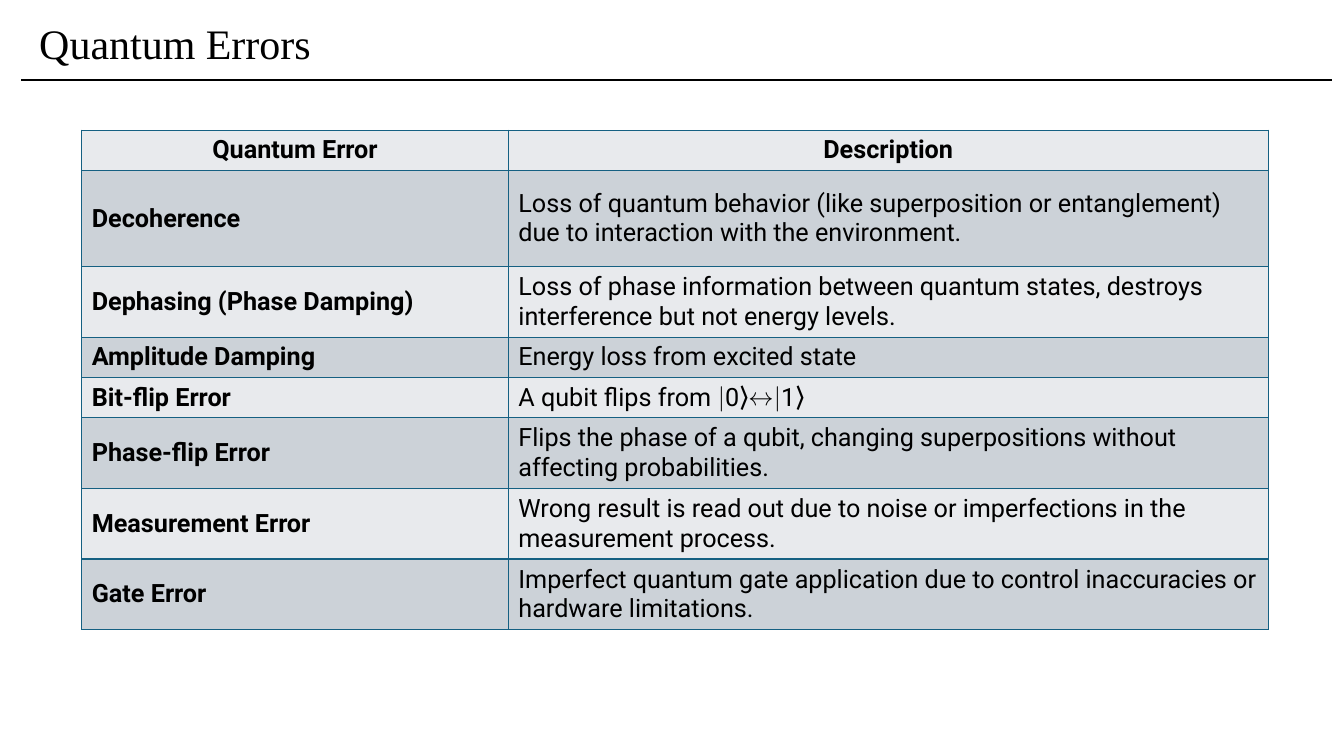
from lxml import etree
from pptx import Presentation
from pptx.dml.color import RGBColor
from pptx.enum import shapes, text
from pptx.oxml import ns
from pptx.util import Cm, Pt

TITLE = "Quantum Errors"
HEADINGS = ("Quantum Error", "Description")
ERRORS = [
    ("Decoherence", "Loss of quantum behavior (like superposition or entanglement) "
                    "due to interaction with the environment."),
    ("Dephasing (Phase Damping)", "Loss of phase information between quantum states, "
                                  "destroys interference but not energy levels."),
    ("Amplitude Damping", "Energy loss from excited state"),
    ("Bit-flip Error", "A qubit flips from ∣0⟩↔∣1⟩"),
    ("Phase-flip Error", "Flips the phase of a qubit, changing superpositions "
                         "without affecting probabilities."),
    ("Measurement Error", "Wrong result is read out due to noise or imperfections "
                          "in the measurement process."),
    ("Gate Error", "Imperfect quantum gate application due to control inaccuracies "
                   "or hardware limitations."),
]
COLORS = {"text": "000000", "border": "156082", "light": "E8EAED", "dark": "CCD2D8"}
SINGLE, DOUBLE, TALL = 0.98, 1.74, 2.42
ROW_HEIGHTS = (SINGLE, TALL, DOUBLE, SINGLE, SINGLE, DOUBLE, DOUBLE, DOUBLE)
COLUMN_WIDTHS = (10.75, 19.15)


def color(name):
    return RGBColor.from_string(COLORS[name])


def style_paragraph(paragraph, font_name, size, bold=False):
    paragraph.font.name = font_name
    paragraph.font.size = Pt(size)
    paragraph.font.bold = bold
    paragraph.font.color.rgb = color("text")


def add_title(slide):
    box = slide.shapes.add_textbox(Cm(0.74), Cm(0.56), Cm(33.1), Cm(1.17))
    frame = box.text_frame
    frame.word_wrap = True
    frame.vertical_anchor = text.MSO_ANCHOR.MIDDLE
    paragraph = frame.paragraphs[0]
    paragraph.text = TITLE
    paragraph.line_spacing = 0.9
    style_paragraph(paragraph, "Times New Roman", 30)


def add_title_rule(slide):
    rule = slide.shapes.add_connector(
        shapes.MSO_CONNECTOR.STRAIGHT, Cm(0.53), Cm(2.01), Cm(33.58), Cm(2.01))
    rule.line.color.rgb = color("text")
    rule.line.width = Pt(1.5)
    etree.SubElement(rule._element.spPr, ns.qn("a:effectLst"))


def add_borders(cell):
    properties = cell._tc.get_or_add_tcPr()
    for side in ("a:lnL", "a:lnR", "a:lnT", "a:lnB"):
        line = etree.SubElement(properties, ns.qn(side), w=str(Pt(1)))
        fill = etree.SubElement(line, ns.qn("a:solidFill"))
        etree.SubElement(fill, ns.qn("a:srgbClr"), val=COLORS["border"])


def add_error_table(slide):
    rows = [HEADINGS, *ERRORS]
    table = slide.shapes.add_table(
        len(rows), len(HEADINGS), Cm(2.06), Cm(3.28),
        Cm(sum(COLUMN_WIDTHS)), Cm(sum(ROW_HEIGHTS))).table
    for column, width in zip(table.columns, COLUMN_WIDTHS):
        column.width = Cm(width)
    for row, height in zip(table.rows, ROW_HEIGHTS):
        row.height = Cm(height)
    for row_index, row in enumerate(rows):
        for column_index, wording in enumerate(row):
            is_heading = row_index == 0
            cell = table.cell(row_index, column_index)
            add_borders(cell)
            cell.fill.solid()
            cell.fill.fore_color.rgb = color("dark" if row_index % 2 else "light")
            cell.vertical_anchor = text.MSO_ANCHOR.MIDDLE
            paragraph = cell.text_frame.paragraphs[0]
            paragraph.text = wording
            paragraph.alignment = text.PP_ALIGN.CENTER if is_heading else text.PP_ALIGN.LEFT
            style_paragraph(paragraph, "Roboto", 18, bold=is_heading or column_index == 0)


def main():
    presentation = Presentation()
    presentation.slide_width, presentation.slide_height = Cm(33.87), Cm(19.05)
    slide = presentation.slides.add_slide(presentation.slide_layouts[6])
    add_title(slide)
    add_title_rule(slide)
    add_error_table(slide)
    presentation.save("out.pptx")


if __name__ == "__main__":
    main()
